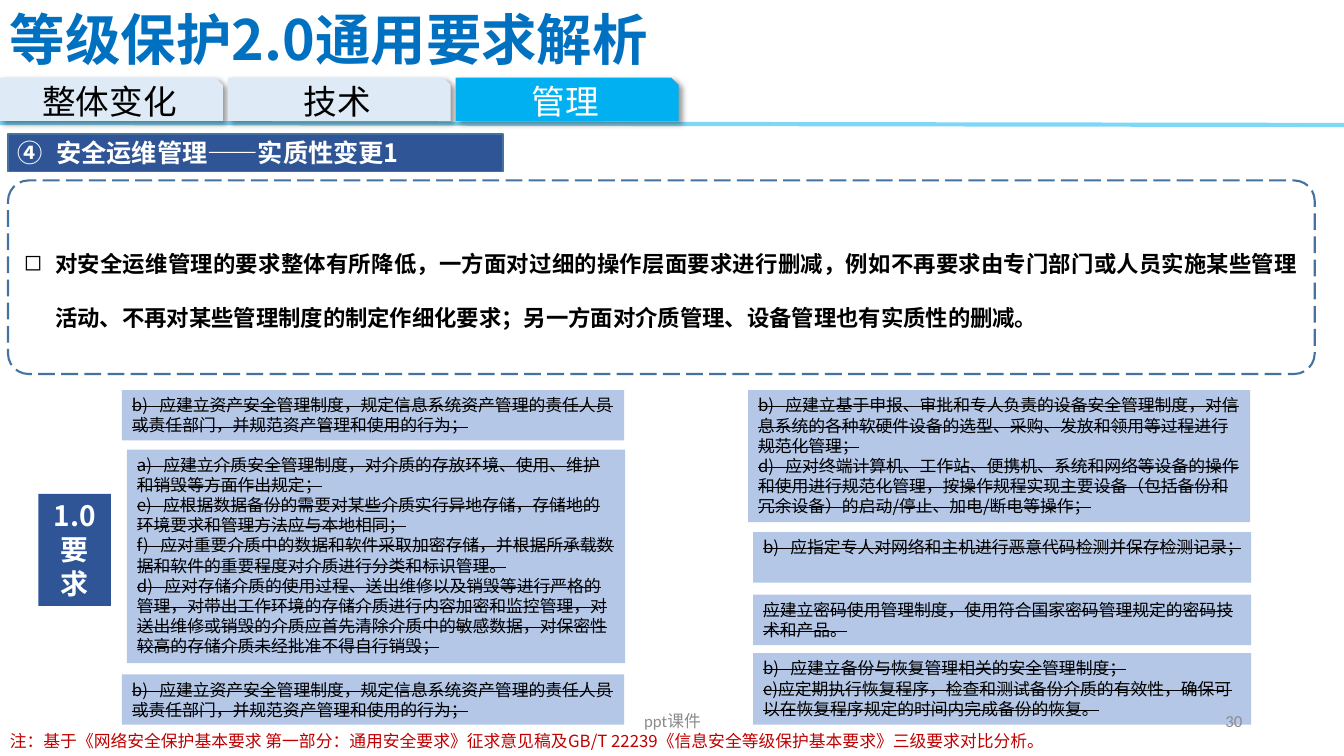
from dataclasses import dataclass

from lxml.etree import SubElement
from pptx import Presentation
from pptx.dml.color import RGBColor
from pptx.enum.dml import MSO_LINE
from pptx.enum.shapes import MSO_CONNECTOR, MSO_SHAPE
from pptx.enum.text import MSO_ANCHOR, MSO_AUTO_SIZE, PP_ALIGN
from pptx.oxml.ns import qn
from pptx.util import Inches, Pt


@dataclass(frozen=True)
class Theme:
    font: str = "Noto Sans CJK SC"
    footer_font: str = "Calibri"
    title: str = "0070C0"
    accent: str = "00B0F0"
    tab: str = "DEEBF7"
    navy: str = "2F5597"
    outline: str = "43739E"
    card: str = "B4C7E7"
    note: str = "C00000"
    muted: str = "8C8C8C"
    black: str = "000000"
    white: str = "FFFFFF"
    title_size: float = 39.6
    tab_size: int = 24
    label_size: int = 20
    heading_size: int = 18
    body_size: int = 16
    small_size: int = 12


class SlideBuilder:
    def __init__(self, s, theme):
        self.s = s
        self.t = theme

    def fill_text(self, sp, lines, size, color, align=PP_ALIGN.LEFT, bold=False,
                  strike=False, font=None, middle=False, grow=False):
        tf = sp.text_frame
        tf.word_wrap = True
        tf.auto_size = MSO_AUTO_SIZE.SHAPE_TO_FIT_TEXT if grow else MSO_AUTO_SIZE.NONE
        tf.vertical_anchor = MSO_ANCHOR.MIDDLE if middle else MSO_ANCHOR.TOP
        tf.text = "\n".join(lines)
        for p in tf.paragraphs:
            p.alignment = align
            for r in p.runs:
                r.font.size = Pt(size)
                r.font.bold = bold
                r.font.color.rgb = RGBColor.from_string(color)
                r.font.name = font or self.t.font
                rPr = r.font._element
                SubElement(rPr, qn("a:ea"), typeface=self.t.font)
                if strike:
                    rPr.set("strike", "sngStrike")
        return tf.paragraphs[0]

    def shape(self, kind, box, fill=None, line=None, width=1):
        sp = self.s.shapes.add_shape(kind, *map(Inches, box))
        sp.shadow.inherit = False
        if fill:
            sp.fill.solid()
            sp.fill.fore_color.rgb = RGBColor.from_string(fill)
        else:
            sp.fill.background()
        if line:
            sp.line.color.rgb = RGBColor.from_string(line)
            sp.line.width = Pt(width)
        else:
            sp.line.fill.background()
        return sp

    def text(self, box, line, size, color, **style):
        sp = self.s.shapes.add_textbox(*map(Inches, box))
        self.fill_text(sp, [line], size, color, **style)

    def rule(self, start, end):
        cn = self.s.shapes.add_connector(
            MSO_CONNECTOR.STRAIGHT, *map(Inches, start + end))
        cn.line.color.rgb = RGBColor.from_string(self.t.accent)
        cn.line.width = Pt(3)
        spPr = cn._element.spPr
        SubElement(spPr, qn("a:effectLst"))
        color = spPr.find(".//" + qn("a:srgbClr"))
        SubElement(color, qn("a:alpha"), val="50000")

    def tab(self, left, top, label, active=False):
        sp = self.shape(MSO_SHAPE.SNIP_1_RECTANGLE, (left, top, 2.21, 0.43),
                        self.t.accent if active else self.t.tab)
        effects = sp._element.spPr.find(qn("a:effectLst"))
        shadow = SubElement(effects, qn("a:outerShdw"), blurRad=str(Pt(4)),
                            dist=str(Pt(3)), dir="2700000", algn="tl", rotWithShape="0")
        color = SubElement(shadow, qn("a:srgbClr"), val=self.t.black)
        SubElement(color, qn("a:alpha"), val="40000")
        self.fill_text(sp, [label], self.t.tab_size, self.t.white if active else self.t.black,
                       align=PP_ALIGN.CENTER, middle=True)

    def bullet(self, p, indent, tag, **attrs):
        pPr = p._p.get_or_add_pPr()
        pPr.set("marL", str(Inches(indent)))
        pPr.set("indent", str(-Inches(indent)))
        SubElement(pPr, qn(tag), **attrs)

    def heading(self, box, line):
        sp = self.shape(MSO_SHAPE.RECTANGLE, box, self.t.navy, self.t.outline)
        p = self.fill_text(sp, [line], self.t.heading_size, self.t.white,
                           align=PP_ALIGN.JUSTIFY, bold=True, middle=True)
        self.bullet(p, 0.38, "a:buAutoNum", type="circleNumDbPlain", startAt="4")

    def summary(self, box, line):
        sp = self.shape(MSO_SHAPE.ROUNDED_RECTANGLE, box, line=self.t.outline, width=1.5)
        sp.adjustments[0] = 0.106
        sp.line.dash_style = MSO_LINE.LONG_DASH
        p = self.fill_text(sp, [line], self.t.body_size, self.t.black,
                           align=PP_ALIGN.JUSTIFY, bold=True, middle=True)
        p.line_spacing = 2.0
        p.space_after = Pt(6)
        self.bullet(p, 0.31, "a:buChar", char="◻")

    def label(self, box, lines):
        sp = self.shape(MSO_SHAPE.RECTANGLE, box, self.t.navy)
        self.fill_text(sp, lines, self.t.label_size, self.t.white,
                       align=PP_ALIGN.CENTER, bold=True, grow=True)

    def card(self, box, lines):
        sp = self.shape(MSO_SHAPE.RECTANGLE, box, self.t.card)
        self.fill_text(sp, lines, self.t.small_size, self.t.black, strike=True, grow=True)


def clause(mark, line):
    return f"{mark}){chr(160) * 2} {line}"


ASSETS = [clause("b", "应建立资产安全管理制度，规定信息系统资产管理的责任人员或责任部门，并规范资产管理和使用的行为；")]
MEDIA = [
    clause("a", "应建立介质安全管理制度，对介质的存放环境、使用、维护和销毁等方面作出规定；"),
    clause("e", "应根据数据备份的需要对某些介质实行异地存储，存储地的环境要求和管理方法应与本地相同；"),
    clause("f", "应对重要介质中的数据和软件采取加密存储，并根据所承载数据和软件的重要程度对介质进行分类和标识管理。"),
    clause("d", "应对存储介质的使用过程、送出维修以及销毁等进行严格的管理，对带出工作环境的存储介质进行内容加密和监控管理，"
                "对送出维修或销毁的介质应首先清除介质中的敏感数据，对保密性较高的存储介质未经批准不得自行销毁；"),
]
DEVICES = [
    clause("b", "应建立基于申报、审批和专人负责的设备安全管理制度，对信息系统的各种软硬件设备的选型、采购、发放和领用等过程进行规范化管理；"),
    clause("d", "应对终端计算机、工作站、便携机、系统和网络等设备的操作和使用进行规范化管理，"
                "按操作规程实现主要设备（包括备份和冗余设备）的启动/停止、加电/断电等操作；"),
]
MALWARE = [clause("b", "应指定专人对网络和主机进行恶意代码检测并保存检测记录；")]
CRYPTO = ["应建立密码使用管理制度，使用符合国家密码管理规定的密码技术和产品。"]
BACKUP = [
    clause("b", "应建立备份与恢复管理相关的安全管理制度；"),
    "e)应定期执行恢复程序，检查和测试备份介质的有效性，确保可以在恢复程序规定的时间内完成备份的恢复。",
]
CARDS = [
    ((7.42, 3.87, 4.98, 1.31), DEVICES),
    ((7.47, 5.28, 4.94, 0.5), MALWARE),
    ((7.47, 5.9, 4.94, 0.5), CRYPTO),
    ((7.47, 6.48, 4.94, 0.71), BACKUP),
    ((1.21, 3.87, 4.98, 0.5), ASSETS),
    ((1.26, 4.46, 4.94, 2.12), MEDIA),
    ((1.21, 6.69, 4.98, 0.5), ASSETS),
]


def main():
    prs = Presentation()
    prs.slide_width, prs.slide_height = Inches(13.33), Inches(7.5)
    t = Theme()
    b = SlideBuilder(prs.slides.add_slide(prs.slide_layouts[6]), t)

    b.rule((0, 1.22), (13.33, 1.24))
    b.text((0, 0.01, 8.61, 0.75), "等级保护2.0通用要求解析", t.title_size, t.title,
           align=PP_ALIGN.JUSTIFY, bold=True, middle=True)
    b.text((0, 7.2, 12, 0.3),
           "注：基于《网络安全保护基本要求 第一部分：通用安全要求》征求意见稿及GB/T 22239"
           "《信息安全等级保护基本要求》三级要求对比分析。", t.small_size, t.note, grow=True)
    for i, name in enumerate(["整体变化", "技术", "管理"]):
        b.tab(2.26 * i, 0.77, name, active=name == "管理")
    b.heading((0.08, 1.33, 4.91, 0.37), "安全运维管理——实质性变更1")
    b.summary((0.08, 1.79, 12.96, 1.92),
              "对安全运维管理的要求整体有所降低，一方面对过细的操作层面要求进行删减，"
              "例如不再要求由专门部门或人员实施某些管理活动、不再对某些管理制度的制定作细化要求；"
              "另一方面对介质管理、设备管理也有实质性的删减。")
    b.label((0.38, 4.9, 0.72, 1.11), ["1.0", "要求"])
    for box, lines in CARDS:
        b.card(box, lines)
    b.text((9.42, 6.95, 3, 0.4), "30", t.small_size, t.muted,
           align=PP_ALIGN.RIGHT, font=t.footer_font, middle=True)
    b.text((4.42, 6.95, 4.5, 0.4), "ppt课件", t.small_size, t.muted,
           align=PP_ALIGN.CENTER, font=t.footer_font, middle=True)
    prs.save("out.pptx")


if __name__ == "__main__":
    main()
